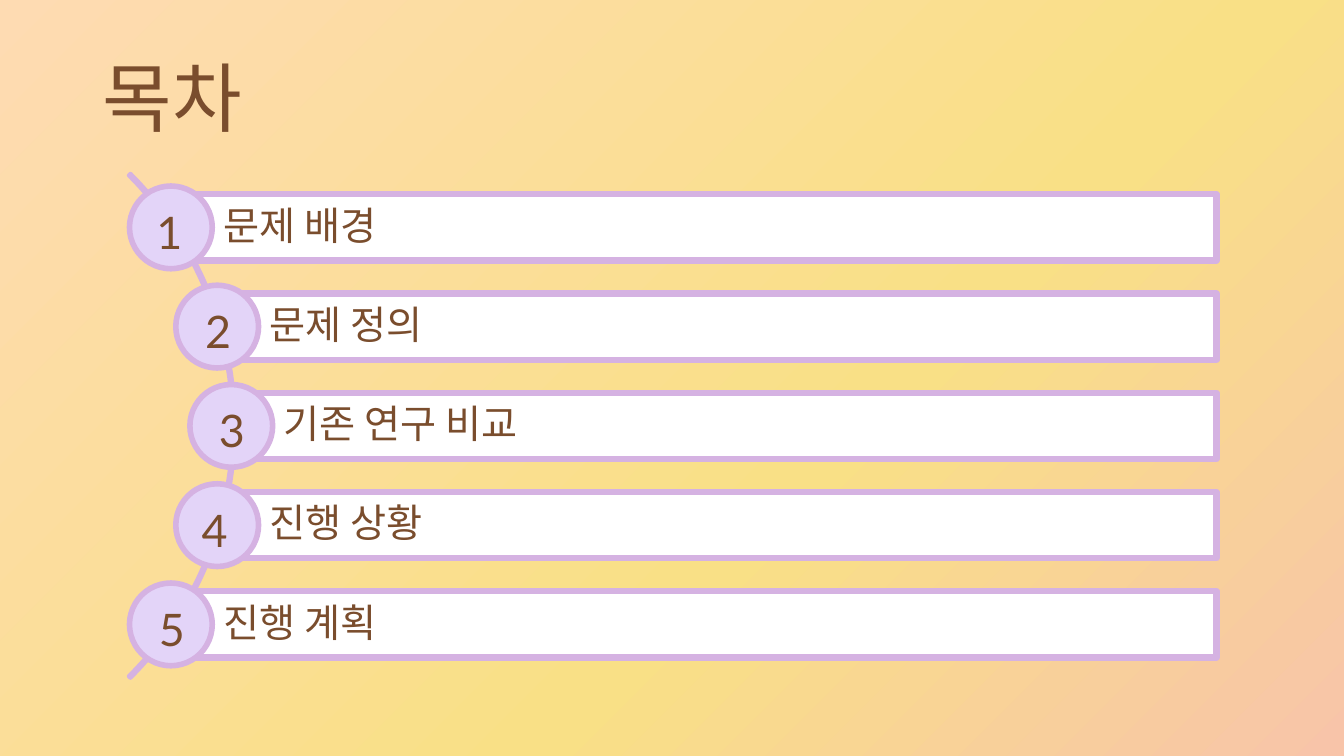
import copy
import dataclasses
import math

import pptx
import pptx.dml.color
import pptx.enum.shapes
import pptx.enum.text
import pptx.oxml.ns
import pptx.util

Pt = pptx.util.Pt
Kind = pptx.enum.shapes.MSO_SHAPE
Align = pptx.enum.text.PP_ALIGN
Anchor = pptx.enum.text.MSO_ANCHOR

HUES = {
    "text": "7A4D2D",
    "edge": "D5B2E2",
    "disc": "E3D4F8",
    "bar": "FFFFFF",
    "peach": "FEDBB2",
    "gold": "F9E086",
    "rose": "F8C4A9",
}
FONT = "Lato"
MID = 304.2
STEP = 70.9
ARC_X = -86.8
ARC_R = 254.5
SHIFT = 2.5
RIGHT = 869
BAR_H = 47.3
DISC = 59.1


@dataclasses.dataclass(frozen=True)
class Item:
    label: str
    num_x: float
    num_w: float


ITEMS = [
    Item("문제 배경", 100.8, 40.3),
    Item("문제 정의", 133.2, 45.4),
    Item("기존 연구 비교", 146.9, 37.4),
    Item("진행 상황", 133.2, 40.3),
    Item("진행 계획", 100.8, 43.9),
]


def hue(name: str) -> pptx.dml.color.RGBColor:
    return pptx.dml.color.RGBColor.from_string(HUES[name])


def add_run(para, text: str, size: float) -> None:
    run = para.add_run()
    run.text = text
    run.font.name = FONT
    run.font.size = Pt(size)
    run.font.color.rgb = hue("text")


def add_form(slide, kind, x: float, y: float, w: float, h: float,
             fill: str, line: float):
    form = slide.shapes.add_shape(kind, Pt(x), Pt(y), Pt(w), Pt(h))
    form.shadow.inherit = False
    form.fill.solid()
    form.fill.fore_color.rgb = hue(fill)
    form.line.color.rgb = hue("edge")
    form.line.width = Pt(line)
    return form


def paint_back(slide) -> None:
    fill = slide.background.fill
    fill.gradient()
    fill.gradient_angle = 315
    stops = slide.element.find(".//" + pptx.oxml.ns.qn("a:gsLst"))
    stops.append(copy.deepcopy(stops[-1]))
    tones = [("peach", 0), ("gold", 0.61), ("rose", 1)]
    for stop, (name, place) in zip(fill.gradient_stops, tones):
        stop.color.rgb = hue(name)
        stop.position = place


def add_title(slide, text: str) -> None:
    title = slide.shapes.title
    title.left, title.top = Pt(66.2), Pt(20.9)
    title.width, title.height = Pt(223.9), Pt(104.4)
    title.text_frame.vertical_anchor = Anchor.MIDDLE
    para = title.text_frame.paragraphs[0]
    para.alignment = Align.LEFT
    para.line_spacing = 0.9
    add_run(para, text, 54)


def add_arc(slide) -> None:
    arc = add_form(slide, Kind.BLOCK_ARC, ARC_X - ARC_R, MID - ARC_R,
                   2 * ARC_R, 2 * ARC_R, "edge", 3)
    for i, value in enumerate((189, 27, 0.003)):
        arc.adjustments[i] = value


def add_item(slide, item: Item, rank: int) -> None:
    drop = (rank - (len(ITEMS) - 1) / 2) * STEP
    x = ARC_X + math.sqrt(ARC_R ** 2 - drop ** 2) - SHIFT
    y = MID + drop
    bar = add_form(slide, Kind.RECTANGLE, x, y - BAR_H / 2,
                   RIGHT - x, BAR_H, "bar", 4.5)
    frame = bar.text_frame
    frame.vertical_anchor = Anchor.MIDDLE
    frame.margin_left = Pt(37.5)
    frame.margin_right = frame.margin_top = frame.margin_bottom = Pt(5.6)
    para = frame.paragraphs[0]
    para.alignment = Align.LEFT
    para.line_spacing = 0.9
    para.space_after = Pt(9.8)
    add_run(para, item.label, 28)
    add_form(slide, Kind.OVAL, x - DISC / 2, y - DISC / 2,
             DISC, DISC, "disc", 4)


def add_num(slide, item: Item, rank: int) -> None:
    y = MID + (rank - (len(ITEMS) - 1) / 2) * STEP
    box = slide.shapes.add_textbox(Pt(item.num_x), Pt(y - 19.9),
                                   Pt(item.num_w), Pt(46))
    frame = box.text_frame
    frame.word_wrap = True
    frame.auto_size = pptx.enum.text.MSO_AUTO_SIZE.SHAPE_TO_FIT_TEXT
    para = frame.paragraphs[0]
    para.alignment = Align.CENTER
    add_run(para, str(rank + 1), 32)


def main() -> None:
    deck = pptx.Presentation()
    deck.slide_width, deck.slide_height = Pt(960), Pt(540)
    slide = deck.slides.add_slide(deck.slide_layouts[5])
    paint_back(slide)
    add_title(slide, "목차")
    add_arc(slide)
    for rank, item in enumerate(ITEMS):
        add_item(slide, item, rank)
    for rank, item in enumerate(ITEMS):
        add_num(slide, item, rank)
    deck.save("out.pptx")


if __name__ == "__main__":
    main()
